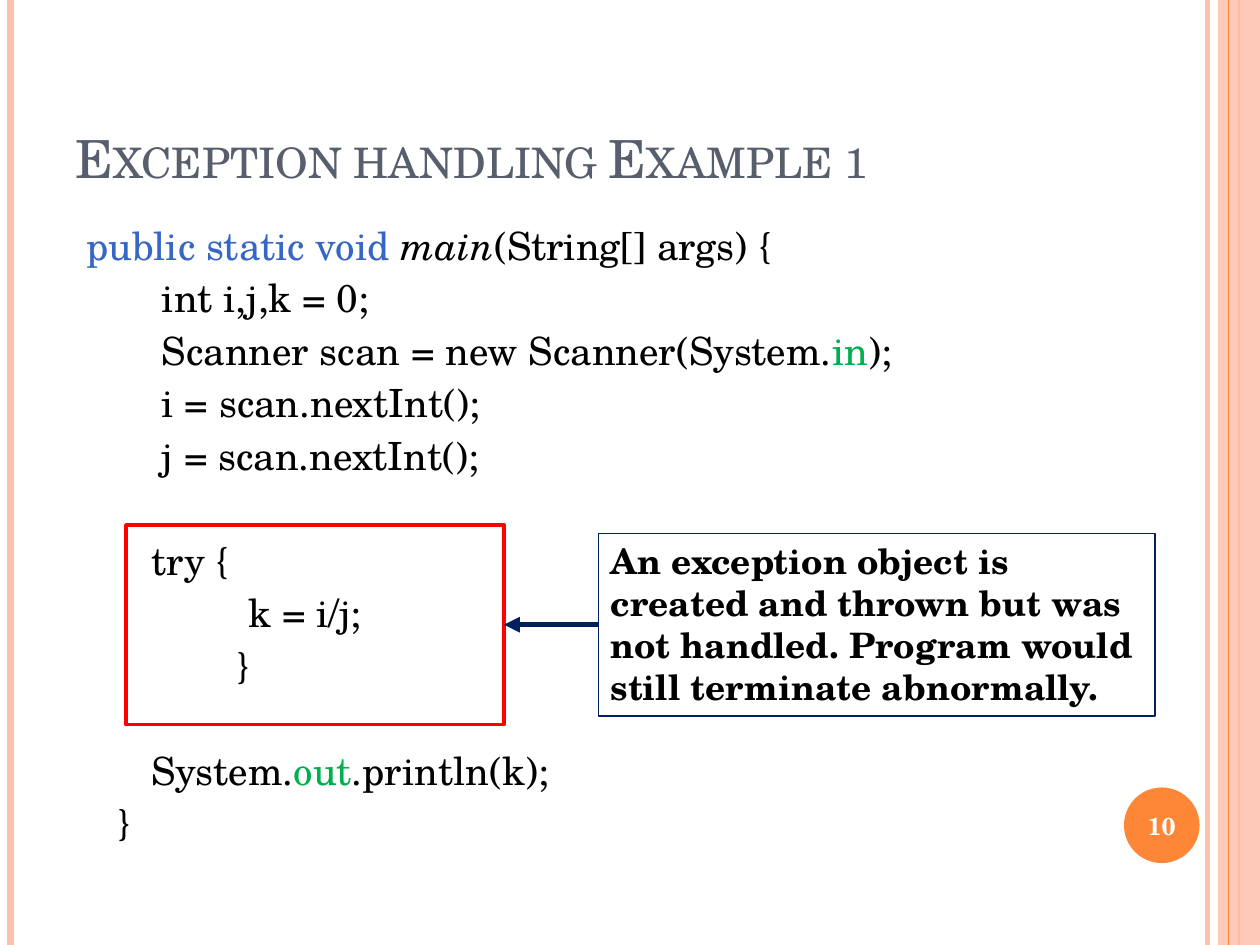
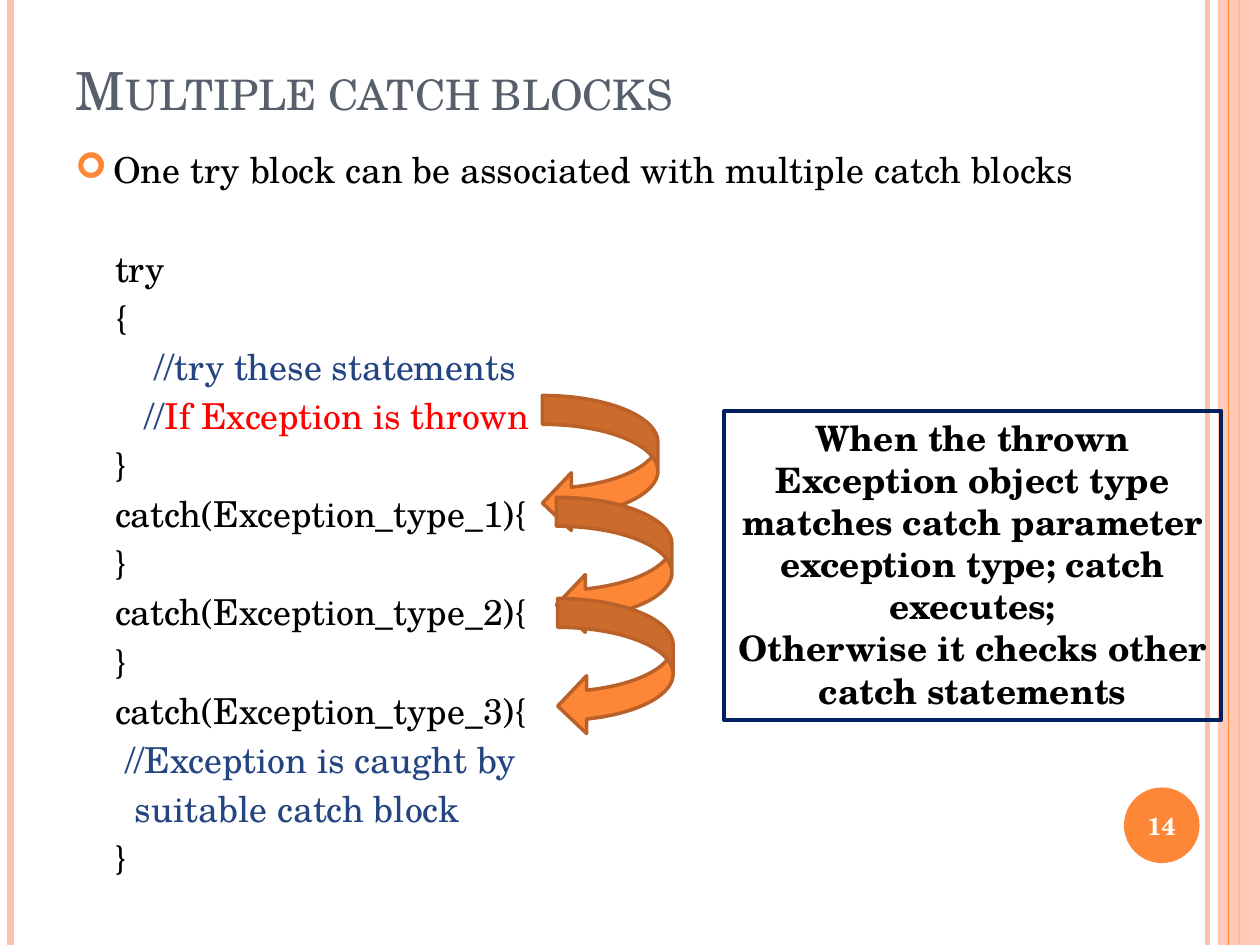
from lxml import etree
from pptx import Presentation
from pptx.dml.color import RGBColor
from pptx.enum.shapes import MSO_CONNECTOR, MSO_SHAPE
from pptx.enum.text import MSO_ANCHOR, PP_ALIGN
from pptx.oxml.ns import qn
from pptx.util import Pt

STRAIGHT = MSO_CONNECTOR.STRAIGHT
RECTANGLE, OVAL, CURVED_ARROW = MSO_SHAPE.RECTANGLE, MSO_SHAPE.OVAL, MSO_SHAPE.CURVED_LEFT_ARROW
TOP, MIDDLE, BOTTOM = MSO_ANCHOR.TOP, MSO_ANCHOR.MIDDLE, MSO_ANCHOR.BOTTOM
LEFT, CENTER = PP_ALIGN.LEFT, PP_ALIGN.CENTER

FONT = "TeX Gyre Schola"
BULLET_FONT, RING = "Wingdings", "¢"
SPACE_WIDTH = 0.278
LINE_HEIGHT = 1.08
LINE_GAP = 6
COLORS = {
    "band": "FEC2AC", "accent": "FE8637", "title": "575F6D", "text": "000000",
    "white": "FFFFFF", "keyword": "3667C4", "field": "00B050", "comment": "244582",
    "alert": "FF0000", "navy": "002060", "arrow_edge": "B96128",
}
RGB = {name: RGBColor.from_string(value) for name, value in COLORS.items()}


def style(run, size, color="text", bold=False, italic=False):
    run.font.name = FONT
    run.font.size = Pt(size)
    run.font.bold = bold
    run.font.italic = italic
    run.font.color.rgb = RGB[color]


def draw_line(slide, x1, y1, x2, y2, color, width):
    line = slide.shapes.add_connector(STRAIGHT, Pt(x1), Pt(y1), Pt(x2), Pt(y2))
    line.line.color.rgb = RGB[color]
    line.line.width = Pt(width)
    etree.SubElement(line._element.spPr, qn("a:effectLst"))
    return line


pages = [
    {
        "title": "Exception handling Example 1", "number": "10",
        "title_top": 21.6, "title_height": 90,
        "code_top": 126, "code_height": 384, "size": 22.2,
        "code": [
            (1, 0, [("public static void ", "keyword"), ("main", "text"), ("(String[] args) {", "text")]),
            (8, 0, [("int i,j,k = 0;", "text")]),
            (8, 0, [("Scanner scan = new Scanner(System.", "text"), ("in", "field"), (");", "text")]),
            (8, 0, [("i = scan.nextInt();", "text")]),
            (8, 0, [("j = scan.nextInt();", "text")]),
            (7, 1, [("try {", "text")]),
            (16, 0, [("k = i/j;", "text")]),
            (15, 0, [("}", "text")]),
            (7, 1, [("System.", "text"), ("out", "field"), (".println(k);", "text")]),
            (4, 0, [("}", "text")]),
        ],
        "note": ["An exception object is created and thrown but was not handled. "
                 "Program would still terminate abnormally."],
        "note_box": (342, 304.8, 318, 104.4), "note_edge": 0.75, "note_align": LEFT,
        "arrows": [],
    },
    {
        "title": "Multiple catch blocks", "number": "14",
        "title_top": 9.4, "title_height": 63.4,
        "code_top": 84, "code_height": 426, "size": 20.4,
        "code": [
            (0, 0, [("One try block can be associated with multiple catch blocks", "text")]),
            (4, 1, [("try", "text")]),
            (4, 0, [("{", "text")]),
            (8, 0, [("//try these statements", "comment")]),
            (7, 0, [("//", "comment"), ("If Exception is thrown", "alert")]),
            (4, 0, [("}", "text")]),
            (4, 0, [("catch(Exception_type_1){", "text")]),
            (4, 0, [("}", "text")]),
            (4, 0, [("catch(Exception_type_2){", "text")]),
            (4, 0, [("}", "text")]),
            (4, 0, [("catch(Exception_type_3){", "text")]),
            (5, 0, [("//Exception is caught by", "comment")]),
            (6, 0, [("suitable catch block", "comment")]),
            (4, 0, [("}", "text")]),
        ],
        "note": ["When the thrown Exception object type matches catch parameter "
                 "exception type; catch executes;",
                 "Otherwise it checks other catch statements"],
        "note_box": (414, 234.7, 283.7, 177), "note_edge": 2.25, "note_align": CENTER,
        "arrows": [(310, 226), (318, 284.2), (318.7, 342)],
    },
]

prs = Presentation()
prs.slide_width, prs.slide_height = Pt(720), Pt(540)
title_only = prs.slide_layouts[5]

for page in pages:
    slide = prs.slides.add_slide(title_only)
    shapes = slide.shapes

    for x, color, width in [(690, "band", 3), (6, "band", 4.5), (708, "accent", 1.5)]:
        draw_line(slide, x, 0, x, 540, color, width)
    side_band = shapes.add_shape(RECTANGLE, Pt(696), 0, Pt(24), Pt(540))
    side_band.shadow.inherit = False
    side_band.fill.solid()
    side_band.fill.fore_color.rgb = RGB["band"]
    side_band.line.fill.background()
    band_color = side_band._element.spPr.find(qn("a:solidFill"))[0]
    etree.SubElement(band_color, qn("a:alpha"), val="87000")
    draw_line(slide, 702, 0, 702, 540, "accent", 0.75)

    badge = shapes.add_shape(OVAL, Pt(642.3), Pt(450), Pt(43.2), Pt(43.2))
    badge.shadow.inherit = False
    badge.fill.solid()
    badge.fill.fore_color.rgb = RGB["accent"]
    badge.line.fill.background()
    number = badge.text_frame
    number.margin_left = number.margin_right = 0
    number.vertical_anchor = MIDDLE
    number.text = page["number"]
    number.paragraphs[0].alignment = CENTER
    style(number.paragraphs[0].runs[0], 14, "white", bold=True)

    title = shapes.title
    title.left, title.top = Pt(36), Pt(page["title_top"])
    title.width, title.height = Pt(588), Pt(page["title_height"])
    title.text_frame.text = page["title"]
    title.text_frame.vertical_anchor = BOTTOM
    title.text_frame.paragraphs[0].alignment = LEFT
    heading = title.text_frame.paragraphs[0].runs[0]
    style(heading, 30, "title")
    heading.font._element.set("cap", "small")

    size = page["size"]
    code = shapes.add_textbox(Pt(36), Pt(page["code_top"]), Pt(588), Pt(page["code_height"])).text_frame
    code.word_wrap = True
    for index, (spaces, skipped, pieces) in enumerate(page["code"]):
        row = code.add_paragraph() if index else code.paragraphs[0]
        row.line_spacing = 0.9
        if index:
            row.space_before = Pt(LINE_GAP + skipped * (LINE_GAP + LINE_HEIGHT * size))
        props = row._p.get_or_add_pPr()
        if spaces:
            props.set("marL", str(Pt(round(spaces * SPACE_WIDTH * size, 2))))
            props.set("indent", "0")
        else:
            props.set("marL", str(Pt(21.6)))
            props.set("indent", str(Pt(-21.6)))
            bullet_color = etree.SubElement(props, qn("a:buClr"))
            etree.SubElement(bullet_color, qn("a:srgbClr"), val=COLORS["accent"])
            etree.SubElement(props, qn("a:buFont"), typeface=BULLET_FONT, pitchFamily="2", charset="2")
            etree.SubElement(props, qn("a:buChar"), char=RING)
        for text, color in pieces:
            run = row.add_run()
            run.text = text
            style(run, size, color, italic=text == "main")

    left, top, width, height = page["note_box"]
    note = shapes.add_shape(RECTANGLE, Pt(left), Pt(top), Pt(width), Pt(height))
    note.shadow.inherit = False
    note.fill.background()
    note.line.color.rgb = RGB["navy"]
    note.line.width = Pt(page["note_edge"])
    note.text_frame.word_wrap = True
    note.text_frame.vertical_anchor = TOP
    note.text_frame.text = "\n".join(page["note"])
    for sentence in note.text_frame.paragraphs:
        sentence.alignment = page["note_align"]
        style(sentence.runs[0], 20, bold=True)

    for x, y in page["arrows"]:
        jump = shapes.add_shape(CURVED_ARROW, Pt(x), Pt(y), Pt(66), Pt(78))
        jump.shadow.inherit = False
        jump.fill.solid()
        jump.fill.fore_color.rgb = RGB["accent"]
        jump.line.color.rgb = RGB["arrow_edge"]
        jump.line.width = Pt(2)

example = prs.slides[0]
try_frame = example.shapes.add_shape(RECTANGLE, Pt(72), Pt(300), Pt(216), Pt(114))
try_frame.shadow.inherit = False
try_frame.fill.background()
try_frame.line.color.rgb = RGB["alert"]
try_frame.line.width = Pt(2)
pointer = draw_line(example, 342, 357, 288, 357, "navy", 3)
etree.SubElement(pointer.line._get_or_add_ln(), qn("a:tailEnd"), type="triangle")

prs.save("out.pptx")
